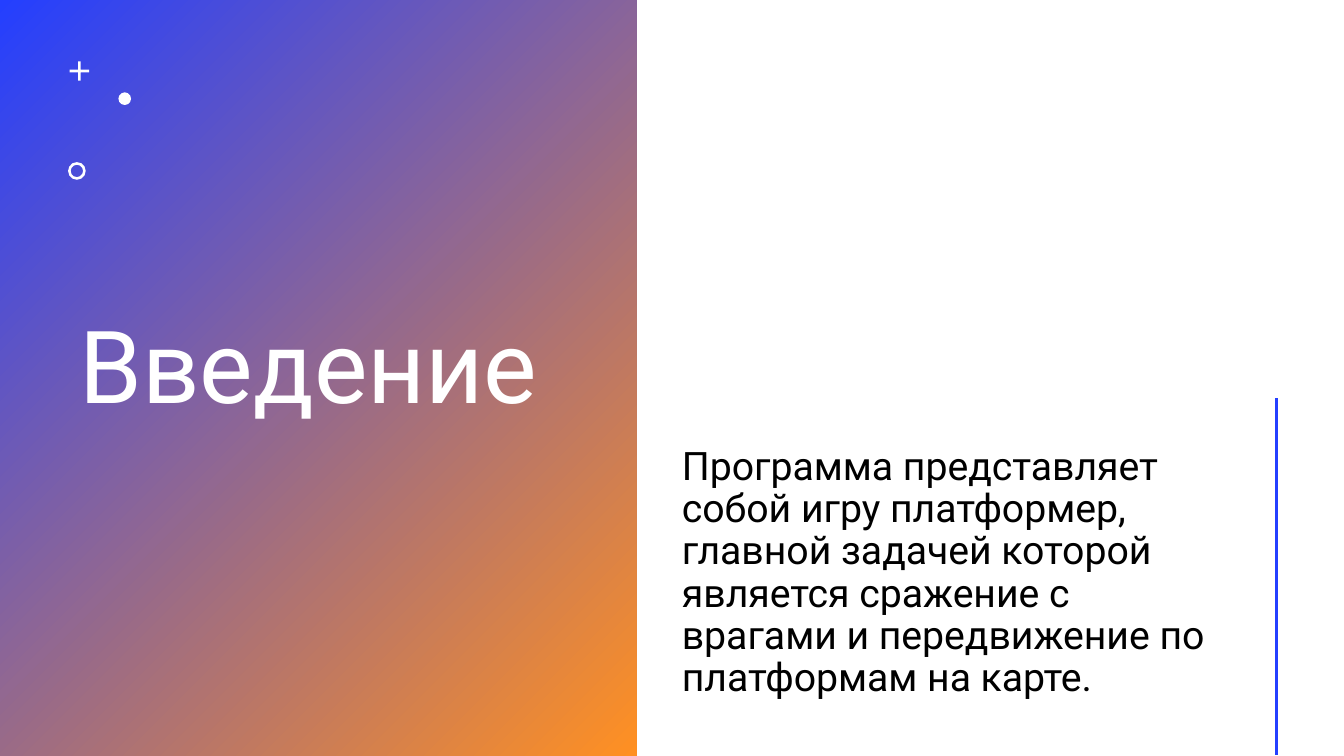
from typing import NamedTuple

from lxml import etree
from pptx import Presentation, util as u
from pptx.dml import color as clr
from pptx.enum import shapes as sh, text as tx
from pptx.oxml import ns

COLS, ROWS = 160, 90
CELL = u.Inches(7.5) / ROWS
HUES = {"blue": "243FFF", "orange": "FF9022", "white": "FFFFFF", "black": "000000"}
FONT = "Roboto"


class Box(NamedTuple):
    """Left, top, width and height in grid cells."""
    x: float
    y: float
    w: float
    h: float


class Mark(NamedTuple):
    kind: sh.MSO_SHAPE
    box: Box
    adj: tuple[float, ...] = ()


class Label(NamedTuple):
    words: str
    box: Box
    size: int
    hue: str


PANEL = Box(0, 0, 75.8, ROWS)
MARKS = [
    Mark(sh.MSO_SHAPE.CROSS, Box(8.3, 7.3, 2.3, 2.3), (0.43,)),
    Mark(sh.MSO_SHAPE.OVAL, Box(14.1, 11, 1.5, 1.5)),
    Mark(sh.MSO_SHAPE.DONUT, Box(8.1, 19.3, 2.1, 2.1), (0.15,)),
]
LABELS = [
    Label("Введение", Box(8.3, 5, 60, 78.4), 72, "white"),
    Label(
        "Программа представляет собой игру платформер, главной задачей которой "
        "является сражение с врагами и передвижение по платформам на карте.",
        Box(80, 46.5, 65.4, 43.5), 28, "black",
    ),
]


def rgb(hue: str) -> clr.RGBColor:
    return clr.RGBColor.from_string(HUES[hue])


def cells(*counts: float) -> list[u.Emu]:
    return [u.Emu(round(n * CELL)) for n in counts]


def add_form(slide, kind: sh.MSO_SHAPE, box: Box):
    """Add a preset shape with neither line nor shadow."""
    form = slide.shapes.add_shape(kind, *cells(*box))
    form.shadow.inherit = False
    form.line.fill.background()
    return form


def add_panel(slide, box: Box) -> None:
    fill = add_form(slide, sh.MSO_SHAPE.RECTANGLE, box).fill
    fill.gradient()
    fill.gradient_angle = 315
    for stop, hue, place in zip(fill.gradient_stops, ("blue", "orange"), (0, 1)):
        stop.color.rgb = rgb(hue)
        stop.position = place


def add_mark(slide, mark: Mark) -> None:
    form = add_form(slide, mark.kind, mark.box)
    form.fill.solid()
    form.fill.fore_color.rgb = rgb("white")
    for i, share in enumerate(mark.adj):
        form.adjustments[i] = share


def add_label(slide, label: Label) -> None:
    frame = slide.shapes.add_textbox(*cells(*label.box)).text_frame
    frame.word_wrap = True
    frame.vertical_anchor = tx.MSO_ANCHOR.MIDDLE
    para = frame.paragraphs[0]
    para.text = label.words
    para.line_spacing = 0.9
    para.font.name = FONT
    para.font.size = u.Pt(label.size)
    para.font.color.rgb = rgb(label.hue)


def add_rule(slide, x: float, top: float, end: float) -> None:
    rule = slide.shapes.add_connector(sh.MSO_CONNECTOR.STRAIGHT, *cells(x, top, x, end))
    rule.line.color.rgb = rgb("blue")
    rule.line.width = u.Pt(2)
    etree.SubElement(rule._element.spPr, ns.qn("a:effectLst"))


def main() -> None:
    deck = Presentation()
    deck.slide_width, deck.slide_height = cells(COLS, ROWS)
    slide = deck.slides.add_slide(deck.slide_layouts[6])
    add_panel(slide, PANEL)
    for mark in MARKS:
        add_mark(slide, mark)
    for label in LABELS:
        add_label(slide, label)
    add_rule(slide, 152, 47.4, 89.9)
    deck.save("out.pptx")


if __name__ == "__main__":
    main()
